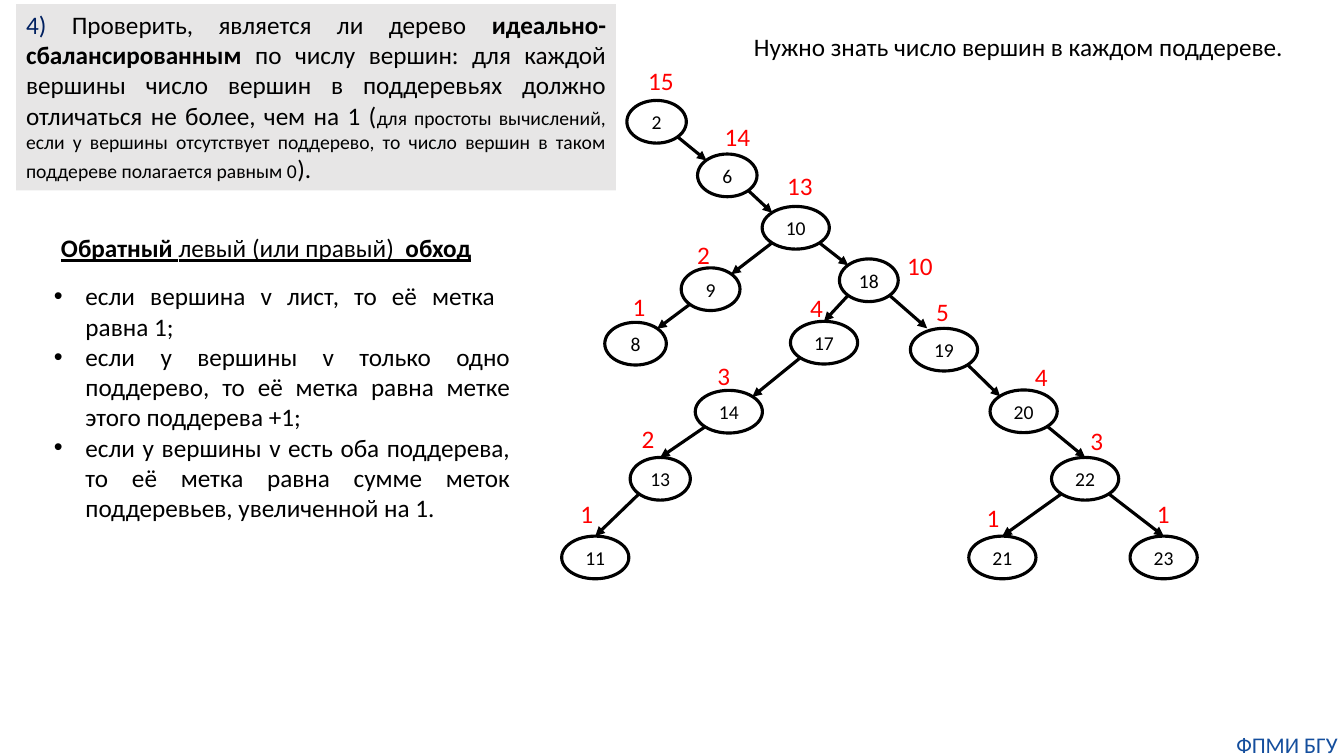
"""Builds a slide on checking a tree for perfect balance."""
import pptx
import pptx.util
import pptx.dml.color
import pptx.enum.shapes
import pptx.enum.text
import lxml.etree
import pptx.oxml.ns

Pt = pptx.util.Pt
RGB = pptx.dml.color.RGBColor
SHAPE = pptx.enum.shapes.MSO_SHAPE
ALIGN = pptx.enum.text.PP_ALIGN
BLACK = RGB(0, 0, 0)
RED = RGB(255, 0, 0)
NAVY = RGB(0x00, 0x20, 0x60)
BLUE = RGB(0x14, 0x4E, 0x9D)
GREY = RGB(0xE7, 0xE6, 0xE6)

HIGH = 30.5
TOP = (0, 0.5)
SIDE = (0.35, 0.35)
EDGE = (0.25, 0.5)

NODES = {
    2: (None, SIDE, 69, 44, 42.5, 72.3, 14.6),
    6: (2, SIDE, 119.5, 82.3, 42.5, 127, 54.9),
    10: (6, SIDE, 168.4, 119.7, 48, 171.7, 89.5),
    18: (10, SIDE, 220.6, 157.2, 42, 257.4, 146.4),
    9: (10, SIDE, 107.6, 163.6, 42, 102.9, 139.2),
    8: (9, SIDE, 54, 202.5, 44, 56.8, 175.9),
    17: (18, TOP, 188.6, 201.8, 48, 183.6, 176.6),
    14: (17, SIDE, 120.6, 251.1, 48, 117.3, 225.6),
    13: (14, TOP, 71.6, 299, 43, 63.3, 270.2),
    11: (13, TOP, 25.2, 355.2, 48, 19.4, 324.2),
    19: (18, EDGE, 274.3, 206.8, 48, 273.6, 179.5),
    20: (19, SIDE, 331.2, 250.8, 48, 344.1, 226.3),
    22: (20, TOP, 375.1, 299, 48, 383.7, 271.6),
    21: (22, TOP, 316, 355.2, 48, 309.6, 326.4),
    23: (22, TOP, 431.2, 355.2, 48, 431.2, 324.2),
}

RULES = [
    "если вершина v лист, то её метка  равна 1;",
    "если у вершины v только одно поддерево, то её метка равна метке "
    "этого поддерева +1;",
    "если у вершины v есть оба поддерева, то её метка равна сумме меток "
    "поддеревьев, увеличенной на 1.",
]


def add_run(para, text, color=BLACK, size=18, bold=False, under=False):
    """Add one styled run to a paragraph."""
    run = para.add_run()
    run.text = text
    font = run.font
    font.name, font.size, font.bold = "Calibri", Pt(size), bold
    font.underline = under
    font.color.rgb = color


def add_text(slide, box, wrap=True):
    """Add a text box and return its frame."""
    frame = slide.shapes.add_textbox(*map(Pt, box)).text_frame
    frame.word_wrap = wrap
    return frame


def add_shape(slide, kind, box):
    """Add a shape without shadow, fill or line."""
    shape = slide.shapes.add_shape(kind, *map(Pt, box))
    shape.shadow.inherit = False
    shape.fill.background()
    shape.line.fill.background()
    return shape


def clear_pad(frame):
    """Remove the inner margins of a frame."""
    frame.margin_left = frame.margin_right = 0
    frame.margin_top = frame.margin_bottom = 0


def add_arrow(slide, start, end):
    """Draw a black arrow between two points."""
    kind = pptx.enum.shapes.MSO_CONNECTOR.STRAIGHT
    arrow = slide.shapes.add_connector(kind, *map(Pt, start + end))
    arrow.line.color.rgb = BLACK
    arrow.line.width = Pt(2.25)
    qn = pptx.oxml.ns.qn
    tail = lxml.etree.SubElement(arrow.line._get_or_add_ln(), qn("a:tailEnd"))
    tail.set("type", "triangle")
    lxml.etree.SubElement(arrow._element.spPr, qn("a:effectLst"))


def count(key):
    """Count the nodes of the subtree at a key."""
    return 1 + sum(count(kid) for kid in NODES if NODES[kid][0] == key)


def draw_tree(slide, left, top):
    """Draw the tree, with the size of each subtree beside its node."""
    for key, (root, reach, x, y, wide, tag_x, tag_y) in NODES.items():
        size = str(count(key))
        span = 24 if len(size) == 1 else 33
        tag = add_text(slide, (left + tag_x - span / 2, top + tag_y - 14.5,
                               span, 29), False)
        add_run(tag.paragraphs[0], size, RED)
        node = add_shape(slide, SHAPE.OVAL, (left + x - wide / 2,
                                             top + y - HIGH / 2, wide, HIGH))
        node.line.color.rgb = BLACK
        node.line.width = Pt(2.25)
        frame = node.text_frame
        clear_pad(frame)
        frame.vertical_anchor = pptx.enum.text.MSO_ANCHOR.MIDDLE
        frame.paragraphs[0].alignment = ALIGN.CENTER
        add_run(frame.paragraphs[0], str(key), size=14)
        if root is None:
            continue
        from_x, from_y, from_wide = NODES[root][2:5]
        sign = 1 if key > root else -1
        add_arrow(slide,
                  (left + from_x + sign * SIDE[0] * from_wide,
                   top + from_y + SIDE[1] * HIGH),
                  (left + x - sign * reach[0] * wide,
                   top + y - reach[1] * HIGH))


def draw_task(slide, box):
    """Draw the grey panel with the task."""
    panel = add_shape(slide, SHAPE.RECTANGLE, box)
    panel.fill.solid()
    panel.fill.fore_color.rgb = GREY
    frame = panel.text_frame
    frame.word_wrap = True
    frame.vertical_anchor = pptx.enum.text.MSO_ANCHOR.TOP
    para = frame.paragraphs[0]
    para.alignment = ALIGN.JUSTIFY
    add_run(para, "4) ", NAVY)
    add_run(para, "Проверить, является ли дерево ")
    add_run(para, "идеально-сбалансированным", bold=True)
    add_run(para, " по числу вершин: для каждой вершины число вершин в "
                  "поддеревьях должно отличаться не более, чем на 1 (")
    add_run(para, "для простоты вычислений, если у вершины отсутствует "
                  "поддерево, то число вершин в таком поддереве полагается "
                  "равным 0", size=14)
    add_run(para, ").")


def draw_rules(slide, left, top):
    """Draw the heading and the bulleted rules under it."""
    head = add_text(slide, (left + 5, top, 377, 29)).paragraphs[0]
    add_run(head, "Обратный ", bold=True, under=True)
    add_run(head, "левый (или правый)  ", under=True)
    add_run(head, "обход", bold=True, under=True)
    frame = add_text(slide, (left, top + 34.5, 340, 181.5))
    for rank, rule in enumerate(RULES):
        para = frame.add_paragraph() if rank else frame.paragraphs[0]
        para.alignment = ALIGN.JUSTIFY
        add_run(para, rule)
        props = para._p.get_or_add_pPr()
        props.set("marL", str(Pt(22.5)))
        props.set("indent", str(-Pt(22.5)))
        qn = pptx.oxml.ns.qn
        lxml.etree.SubElement(props, qn("a:buFont")).set("typeface", "Arial")
        lxml.etree.SubElement(props, qn("a:buChar")).set("char", "•")


def draw_note(slide, box):
    """Draw the remark above the tree."""
    para = add_text(slide, box, False).paragraphs[0]
    add_run(para, "Нужно знать число вершин в каждом поддереве. ")


def draw_foot(slide, box):
    """Draw the footer mark."""
    frame = add_text(slide, box)
    clear_pad(frame)
    frame.paragraphs[0].alignment = ALIGN.CENTER
    add_run(frame.paragraphs[0], "ФПМИ БГУ", BLUE, 16)


deck = pptx.Presentation()
deck.slide_width, deck.slide_height = Pt(960), Pt(540)
page = deck.slides.add_slide(deck.slide_layouts[6])
draw_tree(page, 400, 43)
draw_task(page, (11.5, 3, 428.5, 133))
draw_rules(page, 31.5, 162.5)
draw_note(page, (531.5, 18.5, 401, 29))
draw_foot(page, (878.5, 522, 81.5, 19.5))
deck.save("out.pptx")
